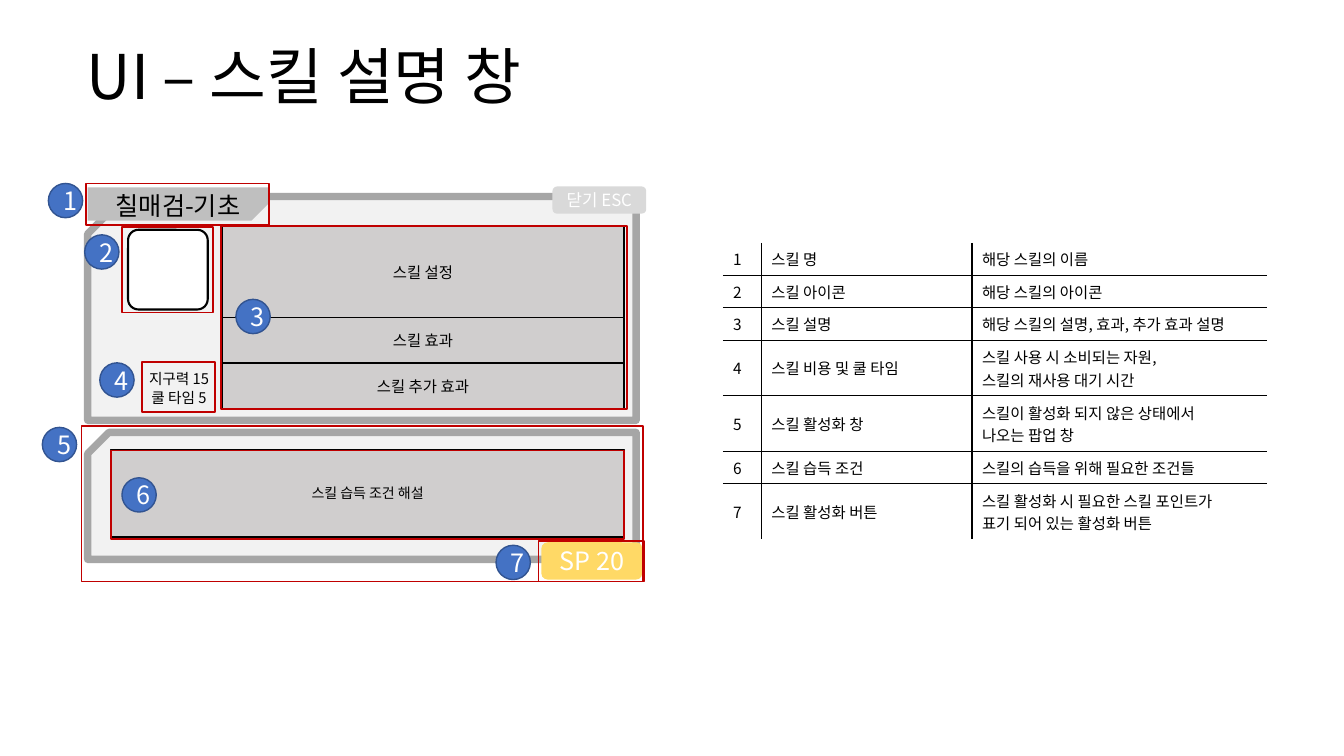
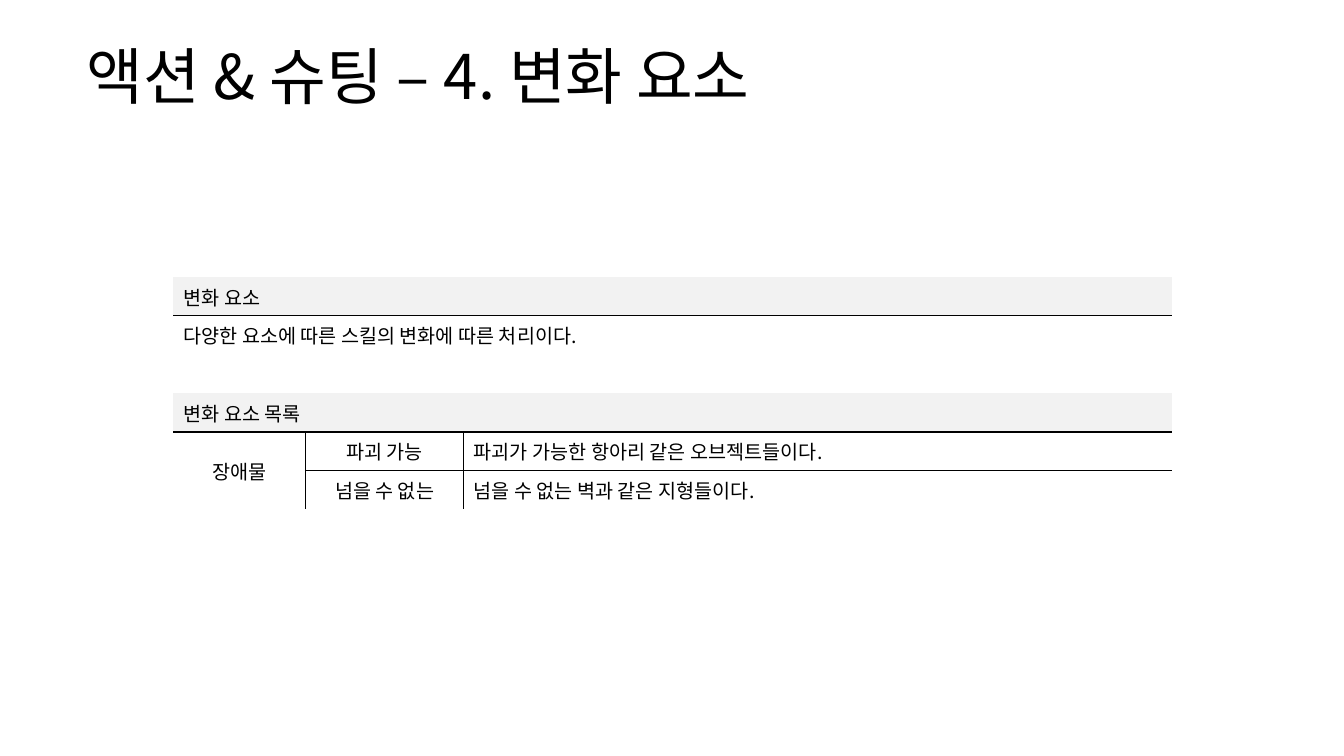
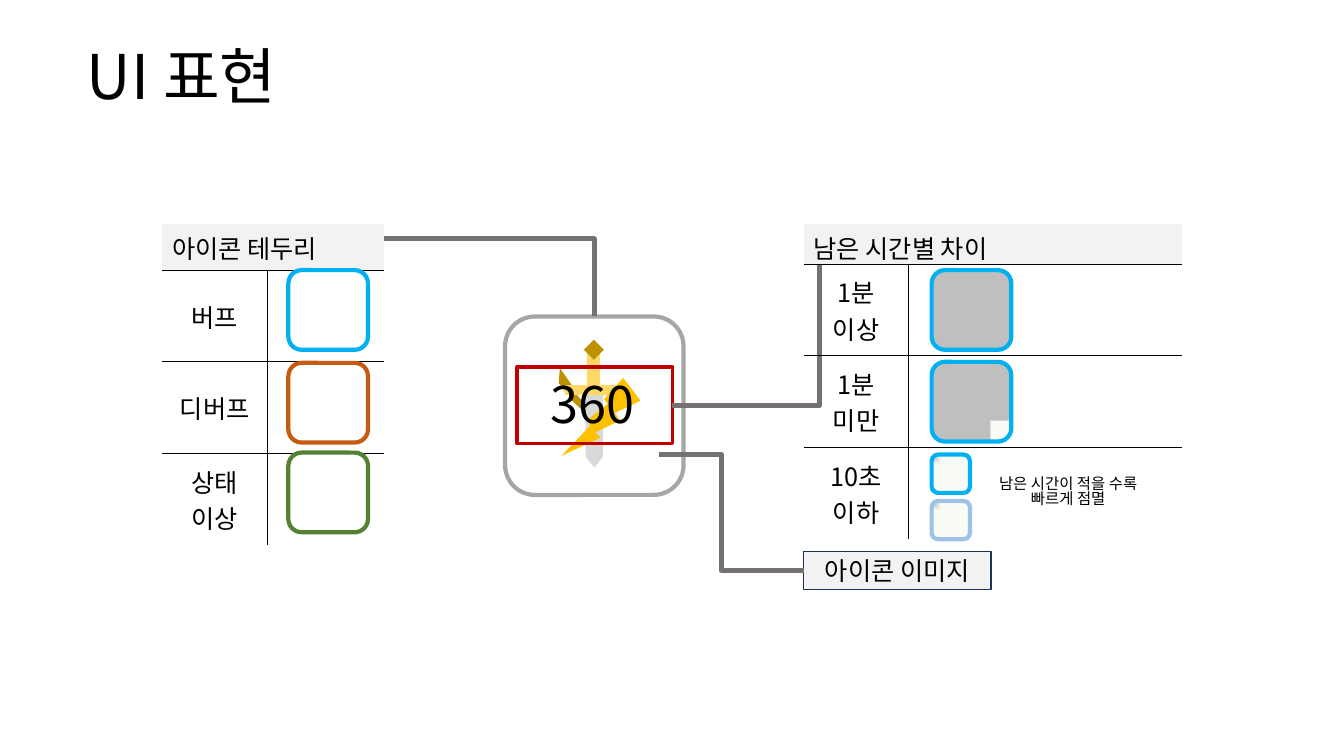
"""Builds three slides that describe a game's skill window, change elements and status icons."""
import dataclasses

import lxml.etree
import pptx
import pptx.dml.color
import pptx.enum.shapes
import pptx.enum.text
import pptx.oxml.ns
import pptx.util

Inches = pptx.util.Inches
SHAPE = pptx.enum.shapes.MSO_SHAPE
ALIGN = pptx.enum.text.PP_ALIGN
ANCHOR = pptx.enum.text.MSO_ANCHOR
qn = pptx.oxml.ns.qn


@dataclasses.dataclass(frozen=True)
class Theme:
    font: str = "Noto Sans CJK KR"
    black: str = "000000"
    white: str = "FFFFFF"
    pale: str = "F2F2F2"
    section: str = "D0CECE"
    light_gray: str = "D9D9D9"
    silver: str = "BFBFBF"
    border_gray: str = "A6A6A6"
    connector: str = "767171"
    red: str = "C00000"
    blue: str = "4472C4"
    dark_blue: str = "325491"
    navy: str = "1E3256"
    yellow: str = "FFD966"
    gold: str = "FFC000"
    bronze: str = "BF9000"
    buff: str = "00B0F0"
    faded_buff: str = "9DC3E6"
    debuff: str = "C55A11"
    ailment: str = "548235"
    glow: str = "F8FBF6"
    title: float = 44
    timer: float = 36
    large: float = 18
    medium: float = 14
    button: float = 12
    small: float = 11
    cost: float = 10.5
    tiny: float = 10


THEME = Theme()
TITLE_AT = (0.76, 0.32, 11.81, 0.94)

SKILL_TABLE = dict(
    at=(7.17, 2.41), columns=(0.38, 2.09, 2.93),
    heights=(0.32, 0.32, 0.32, 0.55, 0.55, 0.32, 0.55), size=THEME.small,
    rules={row: 0 for row in range(6)},
    rows=[
        ("1", "스킬 명", "해당 스킬의 이름"),
        ("2", "스킬 아이콘", "해당 스킬의 아이콘"),
        ("3", "스킬 설명", "해당 스킬의 설명, 효과, 추가 효과 설명"),
        ("4", "스킬 비용 및 쿨 타임", "스킬 사용 시 소비되는 자원,\n스킬의 재사용 대기 시간"),
        ("5", "스킬 활성화 창", "스킬이 활성화 되지 않은 상태에서\n나오는 팝업 창"),
        ("6", "스킬 습득 조건", "스킬의 습득을 위해 필요한 조건들"),
        ("7", "스킬 활성화 버튼", "스킬 활성화 시 필요한 스킬 포인트가\n표기 되어 있는 활성화 버튼"),
    ])
CHANGE_TABLE = dict(
    at=(1.72, 2.75), columns=(1.31, 1.57, 7.02), heights=(0.38,) * 6, size=THEME.medium,
    headers=(0, 3), split=4, centered=2, rules={0: 0, 3: 0, 4: 1},
    merges=[(row, 0, row, 2) for row in range(4)] + [(4, 0, 5, 0)],
    rows=[
        ("변화 요소", "", ""),
        ("다양한 요소에 따른 스킬의 변화에 따른 처리이다.", "", ""),
        ("", "", ""),
        ("변화 요소 목록", "", ""),
        ("장애물", "파괴 가능", "파괴가 가능한 항아리 같은 오브젝트들이다."),
        ("", "넘을 수 없는", "넘을 수 없는 벽과 같은 지형들이다."),
    ])
ICON_TABLE = dict(
    size=THEME.large, headers=(0,), split=1, centered=1,
    rules={0: 0, 1: 0, 2: 0}, merges=[(0, 0, 0, 1)])
BORDER_TABLE = dict(
    ICON_TABLE, at=(1.61, 2.22), columns=(1.04, 1.16), heights=(0.46, 0.91, 0.91, 0.91),
    rows=[("아이콘 테두리", ""), ("버프", ""), ("디버프", ""), ("상태\n이상", "")])
TIME_TABLE = dict(
    ICON_TABLE, at=(7.97, 2.22), columns=(1.04, 2.71), heights=(0.4, 0.91, 0.91, 0.91),
    header_bottom=0,
    rows=[("남은 시간별 차이", ""), ("1분\n이상", ""), ("1분\n미만", ""), ("10초\n이하", "")])

WINDOW_PANELS = [(0.87, 4.29, 5.44, 1.26), (0.87, 1.95, 5.44, 2.22)]
SKILL_SECTIONS = [("스킬 설정", 0.9), ("스킬 효과", 0.45), ("스킬 추가 효과", 0.46)]
SKILL_COSTS = ["지구력 15", "쿨 타임 5"]
CALLOUT_FRAMES = [
    (0.85, 1.82, 1.82, 0.41), (1.21, 2.25, 0.9, 0.85), (2.19, 2.24, 4.03, 1.82),
    (1.41, 3.59, 0.72, 0.5), (0.81, 4.23, 5.57, 1.54), (1.1, 4.47, 5.09, 0.88),
    (5.34, 5.37, 1.05, 0.4)]
BADGES = [(0.48, 1.82), (0.84, 2.33), (2.34, 2.97), (0.99, 3.6),
          (0.42, 4.24), (1.21, 4.74), (4.92, 5.41)]

SWORD = [
    (SHAPE.LIGHTNING_BOLT, (5.63, 3.61, 0.19, 0.74), THEME.bronze, dict(rotation=335.6)),
    (SHAPE.DOWN_ARROW, (5.82, 3.4, 0.13, 0.78), THEME.yellow,
     dict(rotation=180, adjust=(1, 0.64))),
    (SHAPE.DOWN_ARROW, (5.81, 3.86, 0.17, 0.78), THEME.light_gray, dict(adjust=(1, 0.64))),
    (SHAPE.LEFT_RIGHT_ARROW, (5.59, 3.82, 0.59, 0.1), THEME.yellow, dict(adjust=(1, 0.19))),
    (SHAPE.DIAMOND, (5.79, 3.37, 0.2, 0.2), THEME.bronze, {}),
    (SHAPE.LIGHTNING_BOLT, (5.69, 3.71, 0.59, 0.92), THEME.gold,
     dict(rotation=17.1, flip="flipH")),
]
CLOCK_GRADIENT = ([(50, THEME.glow), (55, THEME.silver)], "lt")
BLINK_GRADIENT = ([(8, THEME.silver), (50, THEME.glow)], "rb")
STATUS_ICONS = [
    (2.86, 2.68, 0.79, THEME.buff, None, None),
    (2.86, 3.6, 0.79, THEME.debuff, None, None),
    (2.86, 4.49, 0.79, THEME.ailment, None, None),
    (9.24, 2.68, 0.79, THEME.buff, THEME.silver, None),
    (9.24, 3.59, 0.79, THEME.buff, THEME.silver, CLOCK_GRADIENT),
    (9.24, 4.51, 0.38, THEME.buff, THEME.glow, BLINK_GRADIENT),
    (9.24, 4.97, 0.38, THEME.faded_buff, THEME.glow, BLINK_GRADIENT),
]


def rgb(color):
    return pptx.dml.color.RGBColor.from_string(color)


def lengths(values):
    return [Inches(value) for value in values]


def format_text(frame, size, color=THEME.black, align=ALIGN.LEFT, spacing=None):
    for paragraph in frame.paragraphs:
        paragraph.alignment = align
        if spacing:
            paragraph.line_spacing = spacing
        font = paragraph.font
        font.size = pptx.util.Pt(size)
        font.color.rgb = rgb(color)
        font.name = THEME.font
        properties = paragraph._p.pPr.find(qn("a:defRPr"))
        lxml.etree.SubElement(properties, qn("a:ea"), typeface=THEME.font)


def add_slide(presentation, title):
    slide = presentation.slides.add_slide(presentation.slide_layouts[5])
    shape = slide.shapes.title
    shape.left, shape.top, shape.width, shape.height = lengths(TITLE_AT)
    frame = shape.text_frame
    frame.text = title
    frame.auto_size = pptx.enum.text.MSO_AUTO_SIZE.NONE
    frame.vertical_anchor = ANCHOR.MIDDLE
    format_text(frame, THEME.title, spacing=0.9)
    return slide


def add_label(slide, at, text, size, anchor=ANCHOR.TOP, spacing=None):
    frame = slide.shapes.add_textbox(*lengths(at)).text_frame
    frame.word_wrap = True
    frame.margin_left = frame.margin_right = 0
    frame.vertical_anchor = anchor
    frame.text = text
    format_text(frame, size, align=ALIGN.CENTER, spacing=spacing)


def add_box(slide, kind, at, fill=None, line=None, text="", size=THEME.large,
            color=THEME.black, adjust=(), rotation=0, flip=None):
    shape = slide.shapes.add_shape(kind, *lengths(at))
    shape.shadow.inherit = False
    shape.rotation = rotation
    for index, value in enumerate(adjust):
        shape.adjustments[index] = value
    if flip:
        shape._element.spPr.find(qn("a:xfrm")).set(flip, "1")
    if fill:
        shape.fill.solid()
        shape.fill.fore_color.rgb = rgb(fill)
    else:
        shape.fill.background()
    if line:
        shape.line.color.rgb = rgb(line[0])
        shape.line.width = pptx.util.Pt(line[1])
    else:
        shape.line.fill.background()
    if text:
        shape.text_frame.text = text
        shape.text_frame.vertical_anchor = ANCHOR.MIDDLE
        format_text(shape.text_frame, size, color, ALIGN.CENTER)
    return shape


def set_gradient(shape, stops, focus_sides):
    properties = shape._element.spPr
    gradient = lxml.etree.Element(qn("a:gradFill"))
    stop_list = lxml.etree.SubElement(gradient, qn("a:gsLst"))
    for position, color in stops:
        stop = lxml.etree.SubElement(stop_list, qn("a:gs"), pos=str(position * 1000))
        lxml.etree.SubElement(stop, qn("a:srgbClr"), val=color)
    shade = lxml.etree.SubElement(gradient, qn("a:path"), {"path": "rect"})
    lxml.etree.SubElement(shade, qn("a:fillToRect"), {side: "100000" for side in focus_sides})
    properties.replace(properties.find(qn("a:solidFill")), gradient)


def add_elbow(slide, begin, end, preset="bentConnector2", bend=None):
    connector = slide.shapes.add_connector(
        pptx.enum.shapes.MSO_CONNECTOR.ELBOW, *lengths(begin + end))
    connector.line.color.rgb = rgb(THEME.connector)
    connector.line.width = pptx.util.Pt(3.5)
    properties = connector._element.spPr
    geometry = properties.find(qn("a:prstGeom"))
    geometry.set("prst", preset)
    if bend:
        lxml.etree.SubElement(geometry.find(qn("a:avLst")), qn("a:gd"),
                              name="adj1", fmla=f"val {round(bend * 100000)}")
    lxml.etree.SubElement(properties, qn("a:effectLst"))
    return connector


def set_borders(cell, edges):
    properties = cell._tc.get_or_add_tcPr()
    for index, (name, visible) in enumerate(edges):
        border = lxml.etree.Element(qn(f"a:{name}"), w=str(pptx.util.Pt(1)))
        if visible:
            fill = lxml.etree.SubElement(border, qn("a:solidFill"))
            lxml.etree.SubElement(fill, qn("a:srgbClr"), val=THEME.black)
        else:
            lxml.etree.SubElement(border, qn("a:noFill"))
        properties.insert(index, border)


def add_grid(slide, at, columns, heights, rows, size, rules, headers=(), split=0,
             centered=0, merges=(), header_bottom=0.05):
    area = (*at, sum(columns), sum(heights))
    table = slide.shapes.add_table(len(rows), len(columns), *lengths(area)).table
    for column, width in zip(table.columns, columns):
        column.width = Inches(width)
    for row, height in zip(table.rows, heights):
        row.height = Inches(height)

    def ruled(row, column):
        return row in rules and column >= rules[row]

    for row, texts in enumerate(rows):
        for column, text in enumerate(texts):
            cell = table.cell(row, column)
            cell.text = text
            cell.vertical_anchor = ANCHOR.MIDDLE
            in_center = row >= split and column < centered
            format_text(cell.text_frame, size, align=ALIGN.CENTER if in_center else ALIGN.LEFT)
            if row in headers:
                cell.margin_bottom = Inches(header_bottom)
                cell.fill.solid()
                cell.fill.fore_color.rgb = rgb(THEME.pale)
            else:
                cell.fill.background()
            set_borders(cell, [
                ("lnL", row >= split and column > 0),
                ("lnR", row >= split and column < len(columns) - 1),
                ("lnT", ruled(row - 1, column)),
                ("lnB", ruled(row, column))])
    for top, left, bottom, right in merges:
        table.cell(top, left).merge(table.cell(bottom, right))


def build_skill_window(presentation):
    slide = add_slide(presentation, "UI – 스킬 설명 창")
    add_grid(slide, **SKILL_TABLE)
    for at in WINDOW_PANELS:
        add_box(slide, SHAPE.SNIP_1_RECTANGLE, at, THEME.pale,
                (THEME.border_gray, 5.25), flip="flipH")
    add_box(slide, SHAPE.ROUNDED_RECTANGLE, (1.27, 2.28, 0.79, 0.79), THEME.white,
            (THEME.black, 1.5), adjust=(0.13,))
    add_box(slide, SHAPE.SNIP_1_RECTANGLE, (0.87, 1.86, 1.79, 0.33), THEME.silver,
            adjust=(0.5,), flip="flipV")
    add_label(slide, (0.87, 1.84, 1.79, 0.46), "칠매검-기초", THEME.large)
    add_box(slide, SHAPE.ROUNDED_RECTANGLE, (5.48, 1.85, 0.93, 0.27), THEME.light_gray,
            text="닫기 ESC", size=THEME.button, color=THEME.white)
    add_box(slide, SHAPE.ROUNDED_RECTANGLE, (5.37, 5.38, 1, 0.37), THEME.yellow,
            text="SP 20", color=THEME.white)
    top = 2.25
    for text, height in SKILL_SECTIONS:
        add_box(slide, SHAPE.RECTANGLE, (2.2, top, 3.99, height), THEME.section,
                (THEME.black, 1), text, THEME.small)
        top += height
    add_box(slide, SHAPE.RECTANGLE, (1.1, 4.46, 5.09, 0.87), THEME.section,
            (THEME.black, 1), "스킬 습득 조건 해설", THEME.tiny)
    for index, text in enumerate(SKILL_COSTS):
        add_label(slide, (1.35, 3.62 + index * 0.19, 0.85, 0.28), text, THEME.cost)
    for at in CALLOUT_FRAMES:
        add_box(slide, SHAPE.RECTANGLE, at, line=(THEME.red, 1.25))
    for number, position in enumerate(BADGES, 1):
        add_box(slide, SHAPE.OVAL, (*position, 0.34, 0.34), THEME.blue,
                (THEME.dark_blue, 1), str(number), color=THEME.white)


def build_change_elements(presentation):
    slide = add_slide(presentation, "액션 & 슈팅 – 4. 변화 요소")
    add_grid(slide, **CHANGE_TABLE)


def build_status_icons(presentation):
    slide = add_slide(presentation, "UI 표현")
    for kind, at, fill, options in SWORD:
        add_box(slide, kind, at, fill, **options)
    icon = add_box(slide, SHAPE.ROUNDED_RECTANGLE, (5.01, 3.14, 1.77, 1.77),
                   line=(THEME.border_gray, 3))
    add_label(slide, (5.21, 3.65, 1.33, 0.71), "360", THEME.timer, ANCHOR.MIDDLE)
    timer_frame = add_box(slide, SHAPE.RECTANGLE, (5.13, 3.64, 1.54, 0.76),
                          line=(THEME.red, 2.5))
    image_label = add_box(slide, SHAPE.RECTANGLE, (7.97, 5.47, 1.86, 0.38), THEME.pale,
                          (THEME.navy, 1), "아이콘 이미지")
    add_elbow(slide, (3.81, 2.37), (5.89, 3.14)).end_connect(icon, 0)
    add_elbow(slide, (6.67, 4.02), (8.13, 2.43)).begin_connect(timer_frame, 3)
    add_elbow(slide, (6.54, 4.51), (7.97, 5.66), "bentConnector3", 0.43).end_connect(
        image_label, 1)
    add_grid(slide, **BORDER_TABLE)
    add_grid(slide, **TIME_TABLE)
    for left, top, side, border, fill, gradient in STATUS_ICONS:
        shape = add_box(slide, SHAPE.ROUNDED_RECTANGLE, (left, top, side, side), fill,
                        (border, 3))
        if gradient:
            set_gradient(shape, *gradient)
    add_label(slide, (9.43, 4.69, 2.33, 0.47), "남은 시간이 적을 수록\n빠르게 점멸",
              THEME.small, spacing=0.8)


def main():
    presentation = pptx.Presentation()
    presentation.slide_width, presentation.slide_height = lengths((13.33, 7.5))
    build_skill_window(presentation)
    build_change_elements(presentation)
    build_status_icons(presentation)
    presentation.save("out.pptx")


if __name__ == "__main__":
    main()
